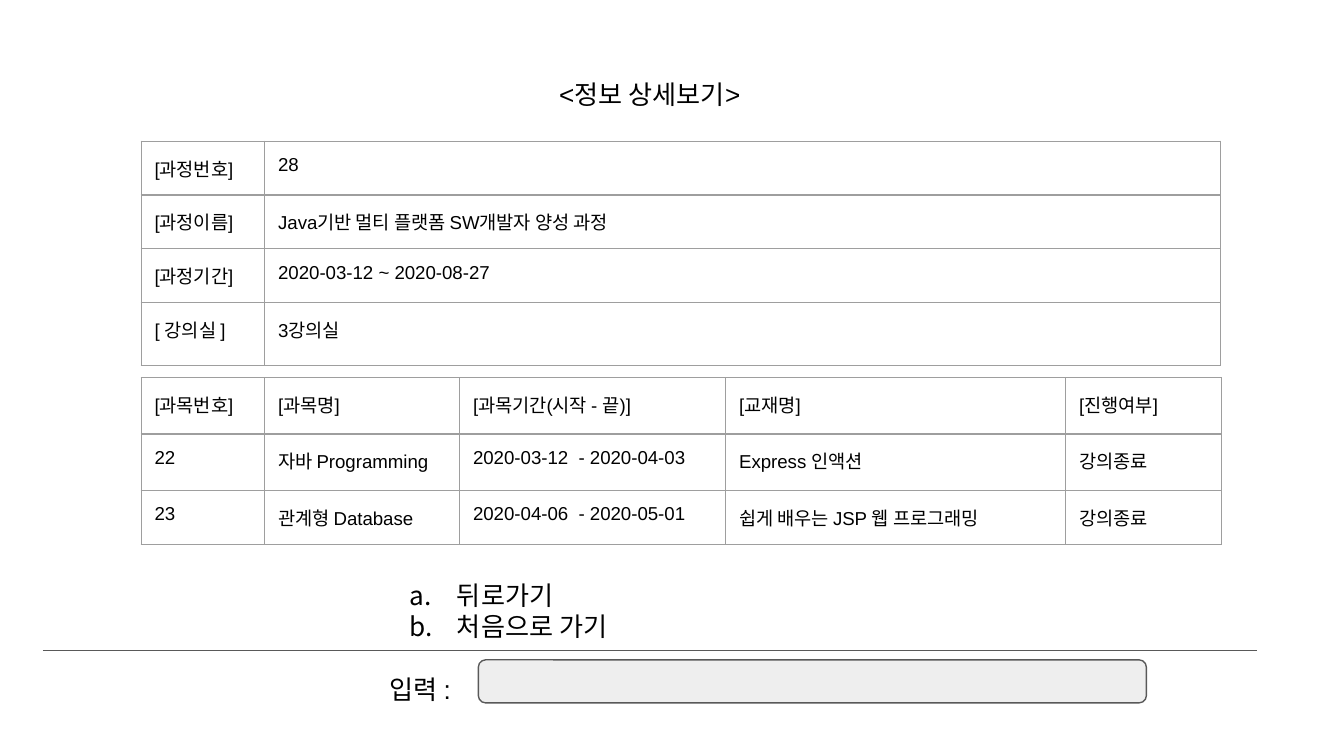
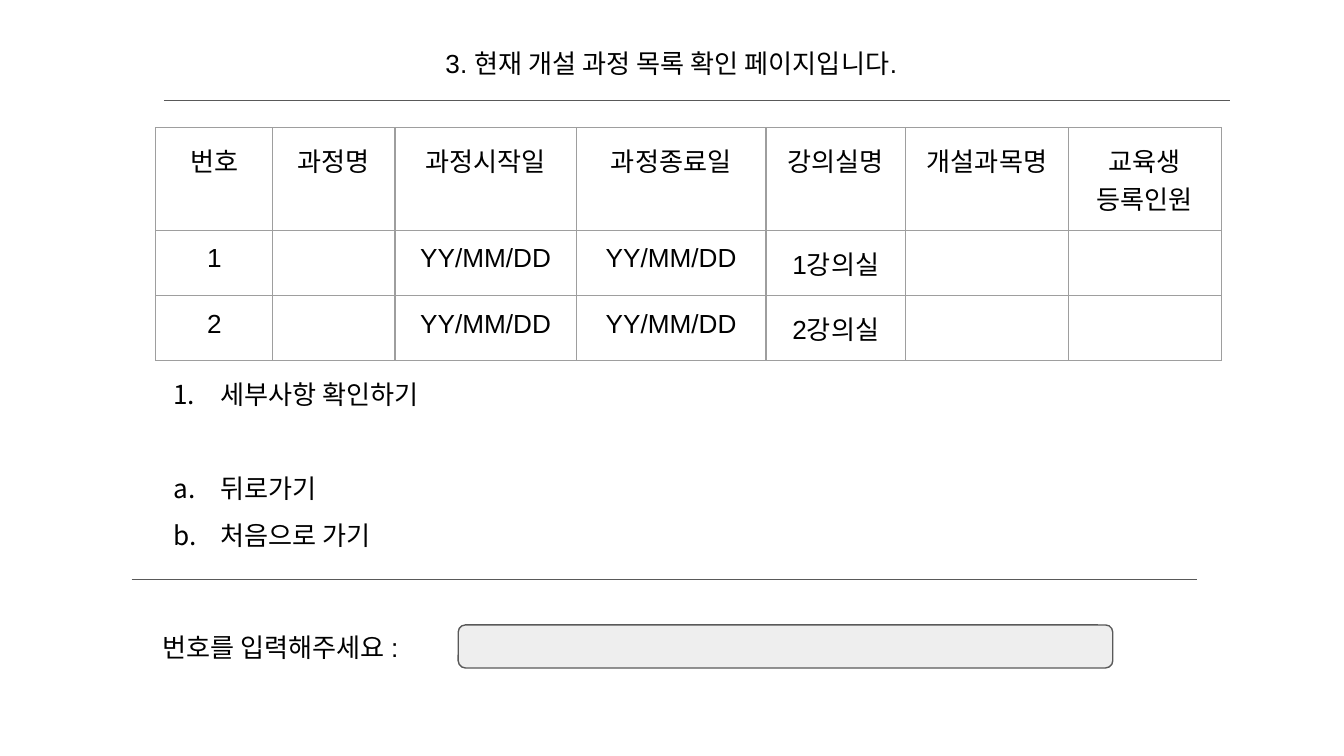
from dataclasses import dataclass

from lxml import etree
from pptx import Presentation
from pptx.dml.color import RGBColor
from pptx.enum.shapes import MSO_CONNECTOR, MSO_SHAPE
from pptx.enum.text import MSO_ANCHOR, MSO_AUTO_SIZE, PP_ALIGN
from pptx.oxml.ns import qn
from pptx.util import Inches, Pt

LEFT = PP_ALIGN.LEFT
CENTER = PP_ALIGN.CENTER
TOP = MSO_ANCHOR.TOP
NO_AUTOFIT = MSO_AUTO_SIZE.NONE
STRAIGHT = MSO_CONNECTOR.STRAIGHT
ROUNDED_RECTANGLE = MSO_SHAPE.ROUNDED_RECTANGLE


@dataclass(frozen=True)
class Theme:
    font: str = "Arial"
    text: str = "000000"
    background: str = "FFFFFF"
    rule: str = "595959"
    field: str = "EEEEEE"
    border: str = "9E9E9E"
    normal_size: int = 14
    small_size: int = 10
    line_width: float = 0.75
    inset: float = 0.1


THEME = Theme()


def color(value):
    return RGBColor.from_string(value)


def place(shape, left, top, width, height):
    shape.left, shape.top = Inches(left), Inches(top)
    shape.width, shape.height = Inches(width), Inches(height)


def write_text(paragraph, text, *, size=THEME.normal_size, align=LEFT,
               spacing=1.0, before=0):
    paragraph.alignment = align
    paragraph.line_spacing = spacing
    paragraph.space_before = Pt(before)
    if not text:
        etree.SubElement(paragraph._p, qn("a:endParaRPr"), sz=str(size * 100))
        return
    run = paragraph.add_run()
    run.text = text
    run.font.name = THEME.font
    run.font.size = Pt(size)
    run.font.color.rgb = color(THEME.text)


def prepare_frame(shape):
    frame = shape.text_frame
    frame.word_wrap = True
    frame.auto_size = NO_AUTOFIT
    frame.vertical_anchor = TOP
    frame.margin_left = frame.margin_right = Inches(THEME.inset)
    frame.margin_top = frame.margin_bottom = Inches(THEME.inset)
    return frame


def add_solid_fill(parent, value):
    fill = etree.SubElement(parent, qn("a:solidFill"))
    etree.SubElement(fill, qn("a:srgbClr"), val=value)


def number_paragraph(paragraph, style):
    properties = paragraph._p.get_or_add_pPr()
    properties.set("marL", str(Inches(0.5)))
    properties.set("indent", str(Inches(-0.35)))
    bullet_color = etree.SubElement(properties, qn("a:buClr"))
    etree.SubElement(bullet_color, qn("a:srgbClr"), val=THEME.text)
    etree.SubElement(properties, qn("a:buFontTx"))
    etree.SubElement(properties, qn("a:buAutoNum"), type=style)


def add_slide(presentation, title, left, top, width, height):
    slide = presentation.slides.add_slide(presentation.slide_layouts[1])
    slide.background.fill.solid()
    slide.background.fill.fore_color.rgb = color(THEME.background)
    place(slide.shapes.title, left, top, width, height)
    frame = prepare_frame(slide.shapes.title)
    write_text(frame.paragraphs[0], title, align=CENTER)
    return slide


def fill_list(slide, items, left, top, width, height, spacing=1.0):
    body = slide.placeholders[1]
    place(body, left, top, width, height)
    frame = prepare_frame(body)
    for index, (text, style, before) in enumerate(items):
        paragraph = frame.add_paragraph() if index else frame.paragraphs[0]
        number_paragraph(paragraph, style)
        write_text(paragraph, text, spacing=spacing, before=before)


def add_label(slide, text, left, top, width, height):
    box = slide.shapes.add_textbox(0, 0, 0, 0)
    place(box, left, top, width, height)
    write_text(prepare_frame(box).paragraphs[0], text)


def add_rule(slide, left, right, top):
    rule = slide.shapes.add_connector(
        STRAIGHT, Inches(left), Inches(top), Inches(right), Inches(top))
    rule.line.color.rgb = color(THEME.rule)
    rule.line.width = Pt(THEME.line_width)
    etree.SubElement(rule._element.spPr, qn("a:effectLst"))


def add_input_field(slide, left, top, width, height=0.32):
    field = slide.shapes.add_shape(
        ROUNDED_RECTANGLE, Inches(left), Inches(top),
        Inches(width), Inches(height))
    field.shadow.inherit = False
    field.fill.solid()
    field.fill.fore_color.rgb = color(THEME.field)
    field.line.color.rgb = color(THEME.rule)
    field.line.width = Pt(THEME.line_width)


def format_cell(cell):
    properties = cell._tc.get_or_add_tcPr()
    for side in ("lnL", "lnR", "lnT", "lnB"):
        border = etree.SubElement(properties, qn(f"a:{side}"),
                                  w=str(Pt(THEME.line_width)))
        add_solid_fill(border, THEME.border)
    cell.fill.background()
    cell.margin_left = cell.margin_right = Inches(THEME.inset)
    cell.margin_top = cell.margin_bottom = Inches(THEME.inset)


def add_grid(slide, rows, left, top, widths, heights, **text_format):
    table = slide.shapes.add_table(
        len(rows), len(widths), Inches(left), Inches(top),
        Inches(sum(widths)), Inches(sum(heights))).table
    table.first_row = table.horz_banding = False
    for column, width in zip(table.columns, widths):
        column.width = Inches(width)
    for row, height, texts in zip(table.rows, heights, rows):
        row.height = Inches(height)
        for cell, text in zip(row.cells, texts):
            format_cell(cell)
            write_text(cell.text_frame.paragraphs[0], text, **text_format)


def build_detail_slide(presentation):
    slide = add_slide(presentation, "<정보 상세보기>", 2.8, 0.48, 4.07, 0.5)
    fill_list(slide, [
        ("뒤로가기", "alphaLcPeriod", 0),
        ("처음으로 가기", "alphaLcPeriod", 0),
    ], 2.8, 4.21, 4.07, 0.67)
    add_label(slide, "입력 :", 2.8, 4.91, 0.75, 0.43)
    add_rule(slide, 0.32, 9.35, 4.84)
    add_input_field(slide, 3.56, 4.91, 4.97)
    add_grid(slide, [
        ("[과정번호]", "28"),
        ("[과정이름]", "Java기반 멀티 플랫폼 SW개발자 양성 과정"),
        ("[과정기간]", "2020-03-12 ~ 2020-08-27"),
        ("[ 강의실 ]", "3강의실"),
    ], 1.05, 1.05, (0.92, 7.11), (0.33, 0.33, 0.33, 0.47),
        size=THEME.small_size)
    add_grid(slide, [
        ("[과목번호]", "[과목명]", "[과목기간(시작 - 끝)]", "[교재명]",
         "[진행여부]"),
        ("22", "자바 Programming", "2020-03-12  - 2020-04-03",
         "Express 인액션", "강의종료"),
        ("23", "관계형 Database", "2020-04-06  - 2020-05-01",
         "쉽게 배우는 JSP 웹 프로그래밍", "강의종료"),
    ], 1.05, 2.81, (0.92, 1.45, 1.98, 2.53, 1.16), (0.42, 0.42, 0.32),
        size=THEME.small_size)


def build_course_list_slide(presentation):
    slide = add_slide(presentation, "3. 현재 개설 과정 목록 확인 페이지입니다.",
                      2.81, 0.25, 4.37, 0.5)
    fill_list(slide, [
        ("세부사항 확인하기", "arabicPeriod", 0),
        ("뒤로가기", "alphaLcPeriod", 25),
        ("처음으로 가기", "alphaLcPeriod", 0),
    ], 1.04, 2.6, 3.28, 1.53, spacing=1.5)
    add_rule(slide, 1.22, 9.15, 0.75)
    date = "YY/MM/DD"
    courses = [(str(number), "", date, date, f"{number}강의실", "", "")
               for number in (1, 2)]
    add_grid(slide, [
        ("번호", "과정명", "과정시작일", "과정종료일", "강의실명", "개설과목명",
         "교육생 등록인원"),
        *courses,
    ], 1.16, 0.95, (0.87, 0.91, 1.35, 1.41, 1.04, 1.21, 1.14),
        (0.66, 0.44, 0.44), align=CENTER)
    add_rule(slide, 0.98, 8.91, 4.31)
    add_input_field(slide, 3.41, 4.65, 4.87)
    add_label(slide, "번호를 입력해주세요 :", 1.11, 4.6, 2.21, 0.43)


def main():
    presentation = Presentation()
    presentation.slide_width = Inches(10)
    presentation.slide_height = Inches(10 * 9 / 16)
    build_detail_slide(presentation)
    build_course_list_slide(presentation)
    presentation.save("out.pptx")


if __name__ == "__main__":
    main()
